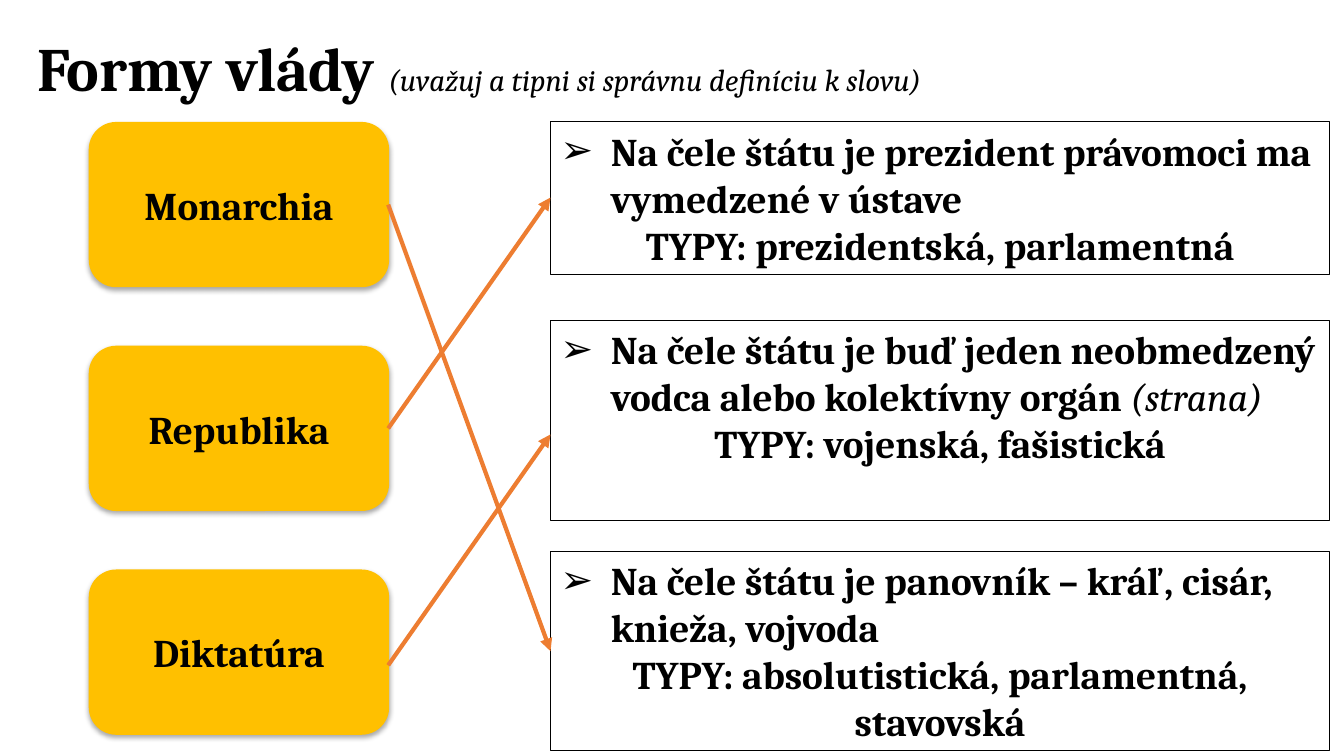
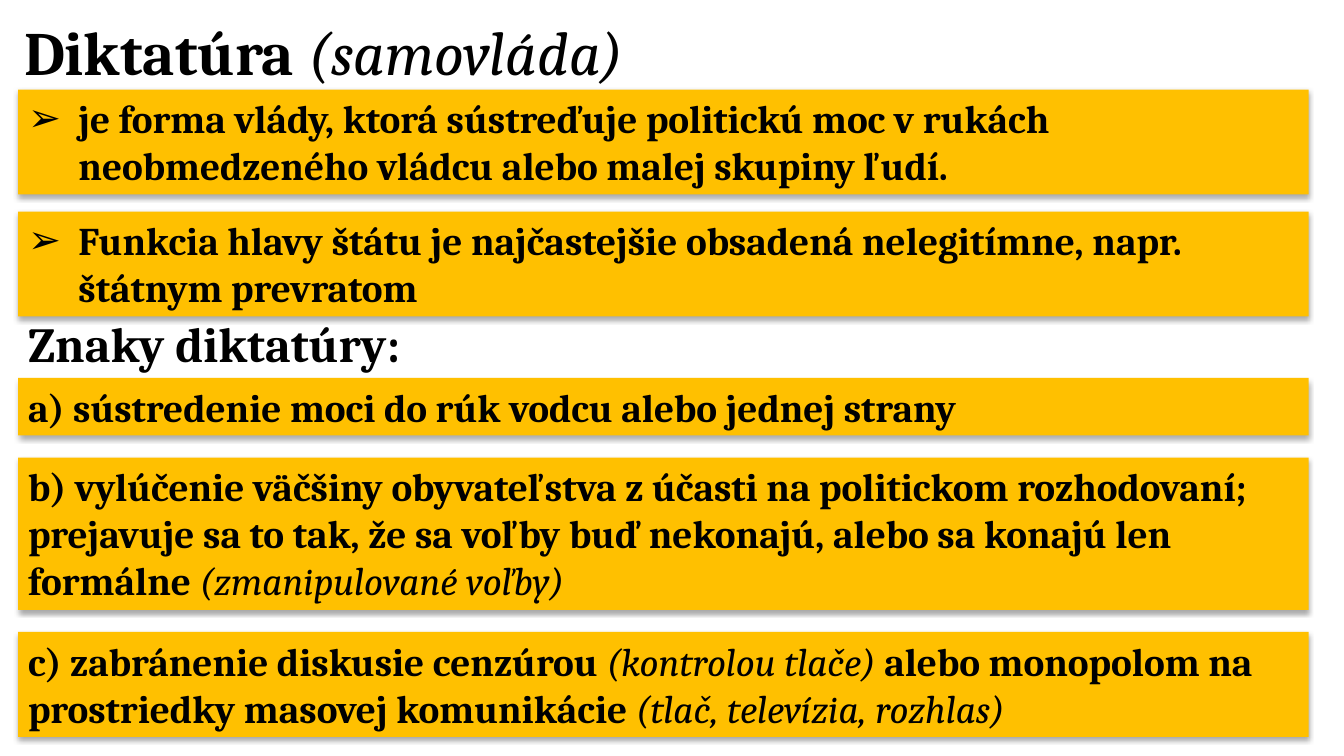
from dataclasses import dataclass

from lxml import etree
from pptx import Presentation
from pptx.dml.color import RGBColor
from pptx.enum.shapes import MSO_CONNECTOR, MSO_SHAPE
from pptx.enum.text import MSO_ANCHOR, PP_ALIGN
from pptx.oxml.ns import qn
from pptx.util import Inches, Pt

RECTANGLE, ROUNDED = MSO_SHAPE.RECTANGLE, MSO_SHAPE.ROUNDED_RECTANGLE
STRAIGHT = MSO_CONNECTOR.STRAIGHT
TOP, MIDDLE = MSO_ANCHOR.TOP, MSO_ANCHOR.MIDDLE
LEFT, CENTER = PP_ALIGN.LEFT, PP_ALIGN.CENTER


@dataclass(frozen=True)
class Theme:
    font: str = "Cambria"
    ink: RGBColor = RGBColor(0x00, 0x00, 0x00)
    gold: RGBColor = RGBColor(0xFF, 0xC0, 0x00)
    orange: RGBColor = RGBColor(0xED, 0x7D, 0x31)
    title: int = 44
    subtitle: int = 35
    body: int = 28
    hint: int = 22
    outline: float = 0.75
    arrow: int = 3
    bullet: str = "➢"
    hanging: float = 0.5


def box_height(lines):
    """Height in inches of a box that holds this many body lines."""
    return 0.1 + 0.47 * lines


def add_soft_shadow(shape):
    """Fill the empty effect list of a shape with a shadow below it."""
    effects = shape.element.spPr.find(qn("a:effectLst"))
    shadow = etree.SubElement(
        effects, qn("a:outerShdw"), blurRad=str(Pt(3.5)), dist=str(Pt(2.2)),
        dir="5400000", algn="ctr", rotWithShape="0")
    color = etree.SubElement(shadow, qn("a:srgbClr"), val="000000")
    etree.SubElement(color, qn("a:alpha"), val="32000")


class Slides:
    def __init__(self, theme):
        self.theme = theme
        self.deck = Presentation()
        self.deck.slide_width, self.deck.slide_height = Inches(13.33), Inches(7.5)
        self.page = None

    def new_page(self):
        self.page = self.deck.slides.add_slide(self.deck.slide_layouts[6])

    def add_spans(self, para, spans, size, aside_size=None):
        """Add bold text; every second span is an aside in light italics."""
        for index, text in enumerate(spans):
            aside = index % 2 == 1
            span = para.add_run()
            span.text = text
            span.font.name = self.theme.font
            span.font.size = Pt(aside_size if aside and aside_size else size)
            span.font.color.rgb = self.theme.ink
            span.font.bold, span.font.italic = not aside, aside

    def add_bullet(self, para):
        indent = Inches(self.theme.hanging)
        properties = para._p.get_or_add_pPr()
        properties.set("marL", str(indent))
        properties.set("indent", str(-indent))
        etree.SubElement(properties, qn("a:buFont"), typeface="Arial")
        etree.SubElement(properties, qn("a:buChar"), char=self.theme.bullet)

    def heading(self, left, top, spans, size, aside_size=None):
        box = self.page.shapes.add_textbox(
            Inches(left), Inches(top), Inches(11.5), Inches(1))
        frame = box.text_frame
        frame.word_wrap, frame.vertical_anchor = True, MIDDLE
        para = frame.paragraphs[0]
        para.line_spacing = 0.9
        self.add_spans(para, spans, size, aside_size)

    def panel(self, kind, left, top, width, height, spans,
              anchor=TOP, align=LEFT, bullet=False, filled=True):
        """Add a gold panel with a shadow, or a plain outlined one."""
        shape = self.page.shapes.add_shape(
            kind, Inches(left), Inches(top), Inches(width), Inches(height))
        shape.shadow.inherit = False
        if filled:
            shape.fill.solid()
            shape.fill.fore_color.rgb = self.theme.gold
            shape.line.fill.background()
            add_soft_shadow(shape)
        else:
            shape.fill.background()
            shape.line.color.rgb = self.theme.ink
            shape.line.width = Pt(self.theme.outline)
        frame = shape.text_frame
        frame.word_wrap, frame.vertical_anchor = True, anchor
        para = frame.paragraphs[0]
        para.alignment = align
        if bullet:
            self.add_bullet(para)
        self.add_spans(para, spans, self.theme.body)
        return shape

    def card(self, top, name):
        self.panel(ROUNDED, 0.88, top, 2.98, 1.64, [name], MIDDLE, CENTER)

    def definition(self, top, lines, spans, types):
        box = self.panel(RECTANGLE, 5.46, top, 7.73, box_height(lines), spans,
                         bullet=True, filled=False)
        para = box.text_frame.add_paragraph()
        para.alignment = CENTER
        self.add_spans(para, [types], self.theme.body)

    def bars(self, top, gap, rows, bullet=False):
        """Stack full-width bars; each row is (line count, spans)."""
        for lines, spans in rows:
            height = box_height(lines)
            self.panel(RECTANGLE, 0.18, top, 12.8, height, spans, bullet=bullet)
            top += height + gap

    def arrow(self, start, end):
        """Point from the cards to the definitions, between two heights."""
        connector = self.page.shapes.add_connector(
            STRAIGHT, Inches(3.85), Inches(start), Inches(5.46), Inches(end))
        connector.line.color.rgb = self.theme.orange
        connector.line.width = Pt(self.theme.arrow)
        properties = connector.element.spPr
        etree.SubElement(properties.find(qn("a:ln")), qn("a:tailEnd"), type="triangle")
        etree.SubElement(properties, qn("a:effectLst"))


def build_forms(slides):
    theme = slides.theme
    slides.new_page()
    slides.heading(
        0.27, 0.21, ["Formy vlády ", "(uvažuj a tipni si správnu definíciu k slovu)"],
        theme.title, theme.hint)
    for row, name in enumerate(["Monarchia", "Republika", "Diktatúra"]):
        slides.card(1.21 + 2.22 * row, name)
    definitions = [
        (1.21, 3, ["Na čele štátu je prezident právomoci ma vymedzené v ústave"],
         "TYPY: prezidentská, parlamentná"),
        (3.18, 4, ["Na čele štátu je buď jeden neobmedzený vodca alebo kolektívny orgán ",
                   "(strana)"],
         "TYPY: vojenská, fašistická"),
        (5.47, 4, ["Na čele štátu je panovník – kráľ, cisár, knieža, vojvoda"],
         "TYPY: absolutistická, parlamentná, stavovská"),
    ]
    for definition in definitions:
        slides.definition(*definition)
    for start, end in [(2.03, 6.46), (4.25, 1.96), (6.6, 4.31)]:
        slides.arrow(start, end)


def build_dictatorship(slides):
    theme = slides.theme
    slides.new_page()
    slides.heading(0.14, 0.05, ["Diktatúra ", "(samovláda)"], theme.title)
    slides.bars(0.89, 0.17, [
        (2, ["je forma vlády, ktorá sústreďuje politickú moc v rukách "
             "neobmedzeného vládcu alebo malej skupiny ľudí."]),
        (2, ["Funkcia hlavy štátu je najčastejšie obsadená nelegitímne, napr. "
             "štátnym prevratom"]),
    ], bullet=True)
    slides.heading(0.18, 2.94, ["Znaky diktatúry:"], theme.subtitle)
    slides.bars(3.75, 0.22, [
        (1, ["a) sústredenie moci do rúk vodcu alebo jednej strany"]),
        (3, ["b) vylúčenie väčšiny obyvateľstva z účasti na politickom rozhodovaní; "
             "prejavuje sa to tak, že sa voľby buď nekonajú, alebo sa konajú len "
             "formálne ", "(zmanipulované voľby)"]),
        (2, ["c) zabránenie diskusie cenzúrou ", "(kontrolou tlače) ",
             "alebo monopolom na prostriedky masovej komunikácie ",
             "(tlač, televízia, rozhlas)"]),
    ])


def main():
    slides = Slides(Theme())
    build_forms(slides)
    build_dictatorship(slides)
    slides.deck.save("out.pptx")


if __name__ == "__main__":
    main()
